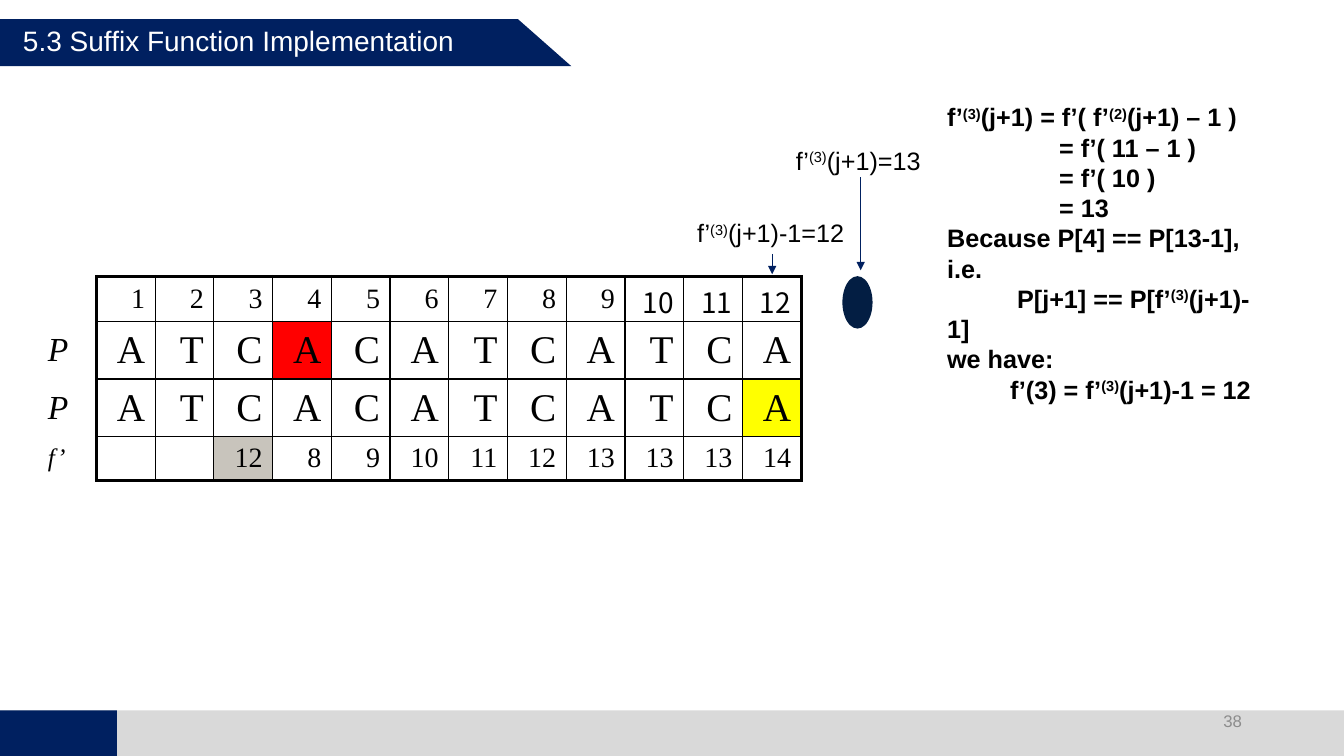
from lxml import etree
from pptx import Presentation
from pptx.dml.color import RGBColor
from pptx.enum.shapes import MSO_CONNECTOR, MSO_SHAPE
from pptx.enum.text import MSO_ANCHOR, PP_ALIGN
from pptx.oxml.ns import qn
from pptx.util import Cm, Pt

NAVY = RGBColor(0x00, 0x20, 0x60)
DARK_NAVY = RGBColor(0x03, 0x1E, 0x43)
LIGHT_GREY = RGBColor(0xD9, 0xD9, 0xD9)
TEXT_GREY = RGBColor(0x8C, 0x8C, 0x8C)
TAUPE = RGBColor(0xC8, 0xC4, 0xBC)
RED = RGBColor(0xFF, 0x00, 0x00)
YELLOW = RGBColor(0xFF, 0xFF, 0x00)
WHITE = RGBColor(0xFF, 0xFF, 0xFF)
BLACK = RGBColor(0x00, 0x00, 0x00)

PATTERN = ["P", *"ATCACATCATCA"]
ROWS = [
    ["", *map(str, range(1, 13))],
    PATTERN,
    PATTERN,
    ["f’", "", "", "12", "8", "9", "10", "11", "12", "13", "13", "13", "14"],
]
ROW_HEIGHTS = [1.14, 1.45, 1.45, 1.09]
ROW_SIZES = [20, 28, 28, 20]
HEAD_SIZES = [20, 24, 24, 18]
COL_WIDTH = 1.48
HIGHLIGHTS = {(1, 4): RED, (2, 12): YELLOW, (3, 3): TAUPE}

# Text between bars is superscript; the number is the first-line indent in points.
EXPLANATION = [
    ("f’|(3)|(j+1) = f’( f’|(2)|(j+1) – 1 )", 0),
    ("= f’( 11 – 1 )", 80),
    ("= f’( 10 )", 80),
    ("= 13", 80),
    ("Because P[4] == P[13-1], i.e.", 0),
    ("P[j+1] == P[f’|(3)|(j+1)-1]", 50),
    ("we have:", 0),
    ("f’(3) = f’|(3)|(j+1)-1 = 12", 45),
]


class SlideBuilder:
    font = "Arial"
    table_font = "Times New Roman"
    number_font = "Noto Sans CJK TC"

    def __init__(self, s):
        self.s = s

    def shape(self, kind, x, y, w, h, color):
        sp = self.s.shapes.add_shape(kind, Cm(x), Cm(y), Cm(w), Cm(h))
        sp.shadow.inherit = False
        sp.fill.solid()
        sp.fill.fore_color.rgb = color
        sp.line.fill.background()

    def style(self, p, size, color=BLACK, name=None, bold=False, italic=False):
        p.font.name = name or self.font
        p.font.size = Pt(size)
        p.font.bold = bold
        p.font.italic = italic
        p.font.color.rgb = color

    def text(self, x, y, w, h, lines, size=18, color=BLACK, bold=False,
             align=PP_ALIGN.LEFT, anchor=MSO_ANCHOR.TOP):
        """Write (text, first-line indent) pairs, one paragraph each."""
        tf = self.s.shapes.add_textbox(Cm(x), Cm(y), Cm(w), Cm(h)).text_frame
        tf.word_wrap = True
        tf.vertical_anchor = anchor
        for i, (line, indent) in enumerate(lines):
            p = tf.add_paragraph() if i else tf.paragraphs[0]
            p.alignment = align
            if indent:
                p._p.get_or_add_pPr().set("indent", str(Pt(indent)))
            self.style(p, size, color, bold=bold)
            for k, part in enumerate(line.split("|")):
                r = p.add_run()
                r.text = part
                if k % 2:
                    r.font._element.set("baseline", "30000")

    def arrow(self, x, top, bottom):
        c = self.s.shapes.add_connector(
            MSO_CONNECTOR.STRAIGHT, Cm(x), Cm(top), Cm(x), Cm(bottom))
        c.line.color.rgb = NAVY
        c.line.width = Pt(0.5)
        etree.SubElement(c.line._get_or_add_ln(), qn("a:tailEnd"), type="triangle")
        etree.SubElement(c._element.spPr, qn("a:effectLst"))

    def borders(self, cell, widths):
        """Set left, right, top and bottom borders; a width of 0 hides one."""
        tcPr = cell._tc.get_or_add_tcPr()
        for i, (side, width) in enumerate(zip("LRTB", widths)):
            ln = etree.Element(qn(f"a:ln{side}"), w=str(Pt(width)))
            if width:
                fill = etree.SubElement(ln, qn("a:solidFill"))
                etree.SubElement(fill, qn("a:srgbClr"), val=str(BLACK))
            else:
                etree.SubElement(ln, qn("a:noFill"))
            tcPr.insert(i, ln)

    def table(self, x, y):
        n_rows, n_cols = len(ROWS), len(ROWS[0])
        table = self.s.shapes.add_table(
            n_rows, n_cols, Cm(x), Cm(y),
            Cm(COL_WIDTH * n_cols), Cm(sum(ROW_HEIGHTS))).table
        table.first_row = table.horz_banding = False
        for col in table.columns:
            col.width = Cm(COL_WIDTH)
        for i, values in enumerate(ROWS):
            table.rows[i].height = Cm(ROW_HEIGHTS[i])
            for j, value in enumerate(values):
                self.cell(table.cell(i, j), i, j, value)

    def cell(self, cell, i, j, value):
        head = j == 0
        cell.vertical_anchor = MSO_ANCHOR.MIDDLE
        if head:
            cell.fill.background()
            self.borders(cell, (0, 2.25, 0, 0))
        else:
            cell.fill.solid()
            cell.fill.fore_color.rgb = HIGHLIGHTS.get((i, j), WHITE)
            last_row, last_col = len(ROWS) - 1, len(ROWS[0]) - 1
            outer = (j == 1, j == last_col, i == 0, i == last_row)
            self.borders(cell, [2.25 if edge else 1 for edge in outer])
        two_digit_index = i == 0 and j >= 10
        if two_digit_index:
            cell.margin_bottom = 0
        p = cell.text_frame.paragraphs[0]
        p.alignment = PP_ALIGN.LEFT if head else PP_ALIGN.RIGHT
        self.style(p, HEAD_SIZES[i] if head else ROW_SIZES[i], italic=head,
                   name=self.number_font if two_digit_index else self.table_font)
        if value:
            p.add_run().text = value


def main():
    prs = Presentation()
    prs.slide_width, prs.slide_height = Cm(33.87), Cm(19.05)
    b = SlideBuilder(prs.slides.add_slide(prs.slide_layouts[6]))

    b.shape(MSO_SHAPE.RECTANGLE, 0, 17.9, 33.87, 1.15, LIGHT_GREY)
    b.shape(MSO_SHAPE.RECTANGLE, 0, 17.9, 2.95, 1.15, NAVY)
    b.shape(MSO_SHAPE.RECTANGLE, 0, 0.48, 13.05, 1.19, NAVY)
    b.shape(MSO_SHAPE.RIGHT_TRIANGLE, 13.05, 0.48, 1.35, 1.19, NAVY)
    b.text(0.33, 0.48, 13.16, 1.12,
           [("5.3 Suffix Function Implementation", 0)], 20, WHITE)

    b.table(0.95, 6.96)
    b.text(23.62, 2.44, 8.53, 6.4, EXPLANATION, bold=True)
    b.text(19.81, 3.53, 3.76, 1.02, [("f’|(3)|(j+1)=13", 0)])
    b.text(17.32, 5.36, 4.29, 1.02, [("f’|(3)|(j+1)-1=12", 0)])
    b.arrow(19.46, 6.4, 6.91)
    b.arrow(21.69, 4.47, 6.81)
    b.shape(MSO_SHAPE.OVAL, 21.23, 6.96, 0.76, 1.32, DARK_NAVY)
    b.text(23.93, 17.65, 7.62, 1.02, [("38", 0)], 12, TEXT_GREY,
           align=PP_ALIGN.RIGHT, anchor=MSO_ANCHOR.MIDDLE)

    prs.save("out.pptx")


if __name__ == "__main__":
    main()
